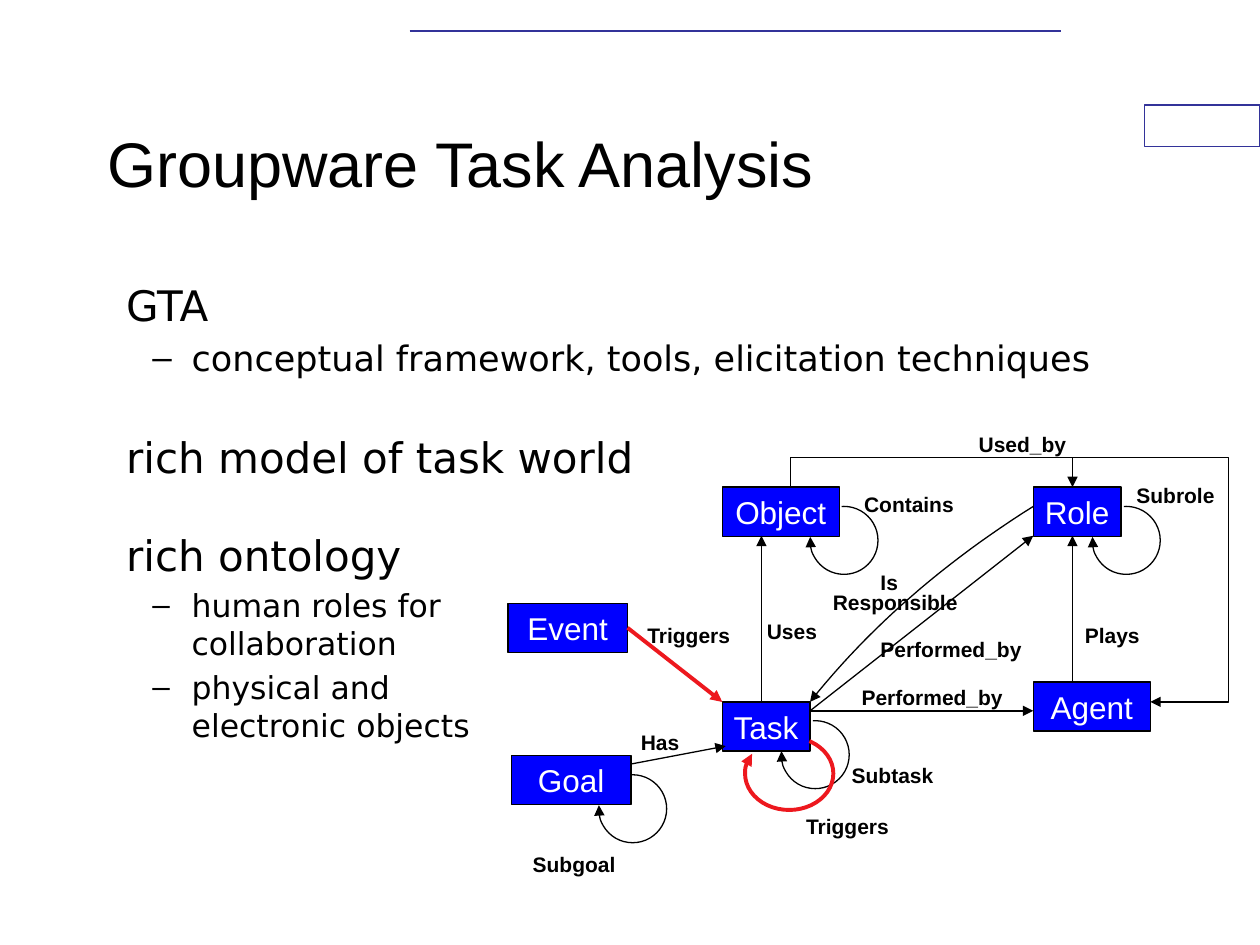
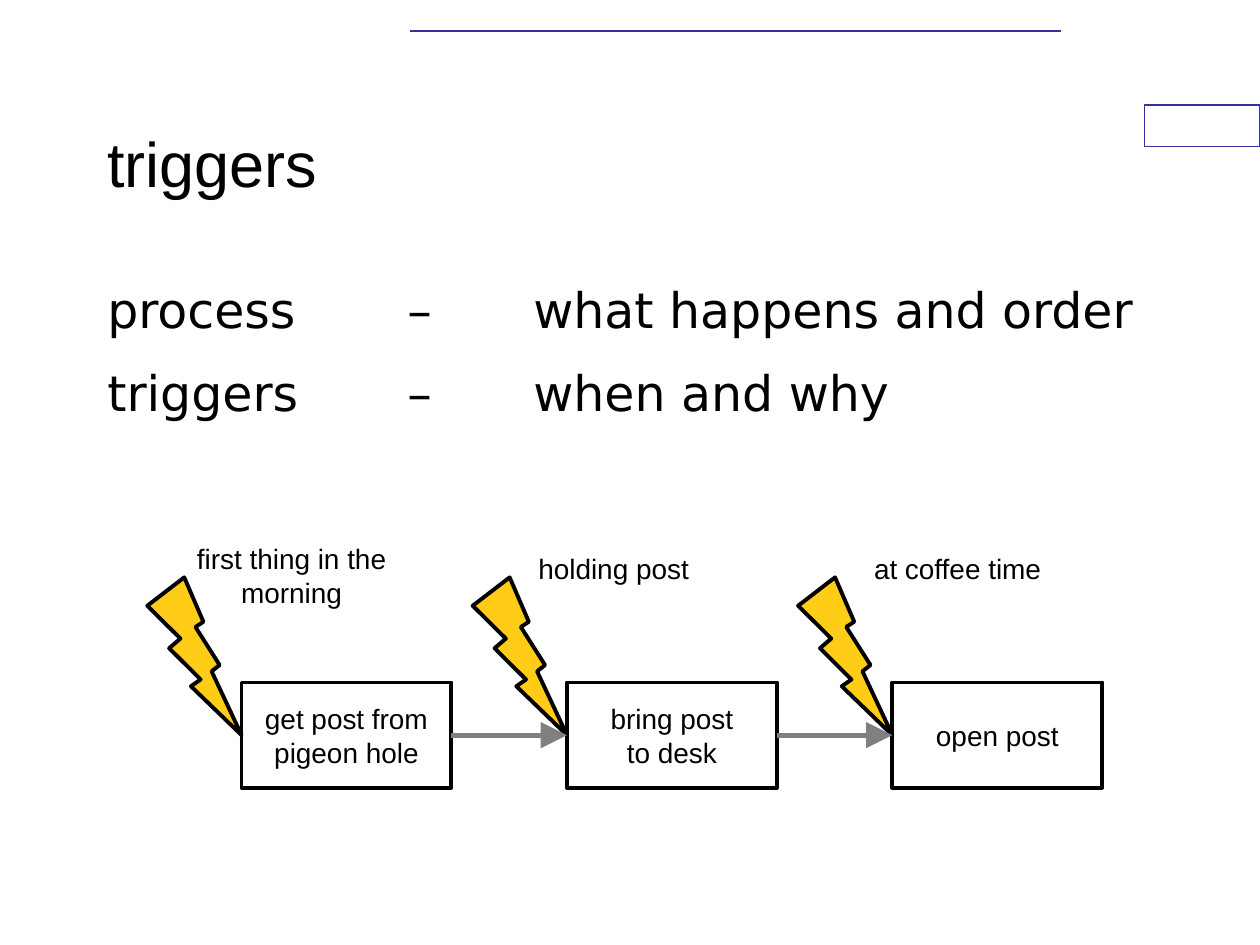
from dataclasses import dataclass

from lxml.etree import SubElement
from pptx import Presentation
from pptx.dml.color import RGBColor
from pptx.enum.shapes import MSO_CONNECTOR, MSO_SHAPE
from pptx.enum.text import MSO_ANCHOR, MSO_AUTO_SIZE, PP_ALIGN
from pptx.oxml.ns import qn
from pptx.util import Cm, Pt

# Shared look
BLACK, WHITE, NAVY = "000000", "FFFFFF", "333399"
BLUE, RED, GOLD, GRAY = "0000FF", "ED181E", "FFCC18", "808080"
HEADING_FONT, BODY_FONT = "Arial", "DejaVu Sans"
THIN, THICK = 0.75, 2.25
LOOP_SIZE = 1.37
TOP, LEFT, BOTTOM, RIGHT = range(4)


@dataclass(frozen=True)
class Entity:
    name: str
    x: float
    y: float
    width: float


@dataclass(frozen=True)
class Label:
    text: str
    x: float
    y: float
    width: float
    height: float = 0.76


@dataclass(frozen=True)
class Loop:
    x: float
    y: float
    width: float = LOOP_SIZE
    height: float = LOOP_SIZE
    start: int = 266
    end: int = 186
    color: str = BLACK
    weight: float = THIN


@dataclass(frozen=True)
class Bullet:
    text: str
    size: int
    level: int = 0
    before: float = 0


@dataclass(frozen=True)
class Step:
    action: str
    trigger: Label


ENTITIES = [
    Entity("Task", 14.56, 14.15, 1.77),
    Entity("Agent", 20.83, 13.75, 2.36),
    Entity("Role", 20.83, 9.82, 1.77),
    Entity("Object", 14.56, 9.82, 2.36),
    Entity("Event", 10.24, 12.16, 2.41),
    Entity("Goal", 10.31, 15.23, 2.41),
]
RELATIONS = [
    ((15.35, 14.15), (15.35, 10.8)),   # Task uses Object
    ((16.33, 14.33), (20.83, 14.33)),  # Task performed by Agent
    ((16.33, 14.33), (20.83, 10.8)),   # Task performed by Role
    ((21.62, 13.75), (21.62, 10.8)),   # Agent plays Role
    ((21.62, 9.22), (21.62, 9.82)),    # Object used by Role
    ((12.73, 15.4), (14.63, 15.04)),   # Goal has Task
]
USED_BY_ROUTE = [(15.93, 9.82), (15.93, 9.22), (24.77, 9.22), (24.77, 14.15), (23.19, 14.15)]
RESPONSIBLE_CURVE = [(20.83, 10.21), (19.05, 11.33), (17.55, 12.62), (16.33, 14.15)]
LOOPS = [
    Loop(16.33, 10.21),
    Loop(15.75, 14.53),
    Loop(22.02, 10.21),
    Loop(12.07, 15.62),
    Loop(15.02, 14.86, 1.78, 1.47, 302, 208, RED, THICK),
]
RELATION_LABELS = [
    Label("Contains", 17.17, 9.78, 2.31),
    Label("Responsible", 16.54, 11.76, 3.02),
    Label("Performed_by", 17.12, 13.67, 3.35),
    Label("Plays", 21.62, 12.42, 1.63),
    Label("Triggers", 12.8, 12.42, 2.21),
    Label("Subtask", 16.92, 15.24, 2.16),
    Label("Uses", 15.21, 12.34, 1.52),
    Label("Used_by", 19.48, 8.57, 2.4),
    Label("Subrole", 22.66, 9.6, 2.08),
    Label("Is", 17.5, 11.35, 0.86),
    Label("Performed_by", 17.5, 12.7, 3.35),
    Label("Has", 12.67, 14.58, 1.3),
    Label("Subgoal", 10.49, 17.04, 2.18),
    Label("Triggers", 16, 16.28, 2.21),
]
FRAMEWORK_POINTS = [
    Bullet("GTA", 24),
    Bullet("conceptual framework, tools, elicitation techniques", 20, 1, 4.1),
    Bullet("rich model of task world", 24, 0, 30.2),
    Bullet("rich ontology", 24, 0, 27.2),
    Bullet("human roles for\ncollaboration", 18, 1, 3.4),
    Bullet("physical and\nelectronic objects", 18, 1, 3.7),
]
DEFINITIONS = [
    Bullet("process\t–\twhat happens and order", 28),
    Bullet("triggers\t–\twhen and why", 28, 0, 14),
]
DEFINITION_INDENT, TAB_STEP = 0.97, 2.54
DEFINITION_TABS = tuple(DEFINITION_INDENT + TAB_STEP * count for count in (2, 3))
STEPS = [
    Step("get post from\npigeon hole", Label("first thing in the\nmorning", 3.71, 10.8, 4.34, 1.63)),
    Step("bring post\nto desk", Label("holding post", 10.59, 11, 3.56, 0.94)),
    Step("open post", Label("at coffee time", 17.35, 11, 3.91, 0.94)),
]
STEP_PITCH = 6.56


def rgb(color: str) -> RGBColor:
    return RGBColor.from_string(color)


def set_line(shape, color: str, weight: float, arrow: str = "") -> None:
    """Style an outline; arrow is the head size, "med" or "lg"."""
    shape.line.color.rgb = rgb(color)
    shape.line.width = Pt(weight)
    if arrow:
        SubElement(shape.element.spPr.find(qn("a:ln")), qn("a:tailEnd"),
                   type="triangle", w=arrow, len=arrow)


def set_fill(shape, color: str | None) -> None:
    if color:
        shape.fill.solid()
        shape.fill.fore_color.rgb = rgb(color)
    else:
        shape.fill.background()


def add_runs(paragraph, text: str, size: int, font: str, color: str = BLACK, bold: bool = False) -> None:
    for number, line in enumerate(text.split("\n")):
        if number:
            paragraph.add_line_break()
        run = paragraph.add_run()
        run.text = line
        run.font.size = Pt(size)
        run.font.name = font
        run.font.bold = bold
        run.font.color.rgb = rgb(color)


def add_preset(slide, kind, x: float, y: float, width: float, height: float,
               fill: str | None, line: str, weight: float, arrow: str = ""):
    shape = slide.shapes.add_shape(kind, Cm(x), Cm(y), Cm(width), Cm(height))
    shape.shadow.inherit = False
    set_fill(shape, fill)
    set_line(shape, line, weight, arrow)
    return shape


def add_box(slide, text: str, x: float, y: float, width: float, height: float,
            fill: str | None, weight: float, size: int, color: str):
    shape = add_preset(slide, MSO_SHAPE.RECTANGLE, x, y, width, height, fill, BLACK, weight)
    frame = shape.text_frame
    frame.word_wrap = False
    frame.vertical_anchor = MSO_ANCHOR.MIDDLE
    frame.paragraphs[0].alignment = PP_ALIGN.CENTER
    add_runs(frame.paragraphs[0], text, size, HEADING_FONT, color)
    return shape


def add_label(slide, label: Label, size: int, bold: bool, alignment) -> None:
    box = slide.shapes.add_textbox(Cm(label.x), Cm(label.y), Cm(label.width), Cm(label.height))
    box.text_frame.word_wrap = False
    box.text_frame.auto_size = MSO_AUTO_SIZE.SHAPE_TO_FIT_TEXT
    paragraph = box.text_frame.paragraphs[0]
    paragraph.alignment = alignment
    add_runs(paragraph, label.text, size, HEADING_FONT, bold=bold)


def add_line(slide, start: tuple, end: tuple, color: str = BLACK,
             weight: float = THIN, arrow: str = "med"):
    connector = slide.shapes.add_connector(
        MSO_CONNECTOR.STRAIGHT, *(Cm(value) for value in (*start, *end)))
    set_line(connector, color, weight, arrow)
    SubElement(connector.element.spPr, qn("a:effectLst"))
    return connector


def add_route(slide, points: list) -> None:
    start, *others = [(Cm(x), Cm(y)) for x, y in points]
    builder = slide.shapes.build_freeform(*start)
    builder.add_line_segments(others, close=False)
    route = builder.convert_to_shape()
    route.shadow.inherit = False
    set_fill(route, None)
    set_line(route, BLACK, THIN, "med")


def add_loop(slide, loop: Loop) -> None:
    arc = add_preset(slide, MSO_SHAPE.ARC, loop.x, loop.y, loop.width, loop.height,
                     None, loop.color, loop.weight, "med")
    # Angles are stored in 1/60000 degree, adjustments in 1/100000
    arc.adjustments[0] = loop.start * 0.6
    arc.adjustments[1] = loop.end * 0.6


def curve_points(controls: list, steps: int = 24) -> list:
    """Points along a cubic Bezier curve."""
    points = []
    for step in range(steps + 1):
        t = step / steps
        weights = ((1 - t) ** 3, 3 * t * (1 - t) ** 2, 3 * t ** 2 * (1 - t), t ** 3)
        points.append(tuple(sum(w * point[axis] for w, point in zip(weights, controls))
                            for axis in (0, 1)))
    return points


def format_bullet(paragraph, level: int, tabs: tuple) -> None:
    properties = paragraph._p.get_or_add_pPr()
    if tabs:
        margin, indent = DEFINITION_INDENT, -DEFINITION_INDENT
    else:
        margin, indent = (1.7, -0.79) if level else (0.38, 0)
    properties.set("marL", str(Cm(margin)))
    properties.set("indent", str(Cm(indent)))
    if level:
        SubElement(properties, qn("a:buChar"), char="–")
    else:
        SubElement(properties, qn("a:buNone"))
    if tabs:
        properties.set("defTabSz", str(Cm(TAB_STEP)))
        tab_list = SubElement(properties, qn("a:tabLst"))
        for position in tabs:
            SubElement(tab_list, qn("a:tab"), pos=str(Cm(position)), algn="l")


def place(shape, x: float, y: float, width: float, height: float) -> None:
    shape.left, shape.top, shape.width, shape.height = Cm(x), Cm(y), Cm(width), Cm(height)
    shape.text_frame.word_wrap = True
    shape.text_frame.auto_size = MSO_AUTO_SIZE.NONE


def add_slide(presentation, title: str, bullets: list, tabs: tuple = ()):
    slide = presentation.slides.add_slide(presentation.slide_layouts[1])
    heading, body = slide.shapes.title, slide.placeholders[1]
    place(heading, 1.91, 1.69, 19.05, 3.18)
    heading.text_frame.vertical_anchor = MSO_ANCHOR.MIDDLE
    heading.text_frame.paragraphs[0].alignment = PP_ALIGN.LEFT
    add_runs(heading.text_frame.paragraphs[0], title, 36, HEADING_FONT)
    place(body, 1.91, 5.5, 21.59, 11.43)
    for number, bullet in enumerate(bullets):
        frame = body.text_frame
        paragraph = frame.add_paragraph() if number else frame.paragraphs[0]
        paragraph.level = bullet.level
        format_bullet(paragraph, bullet.level, tabs)
        paragraph.space_before = Pt(bullet.before)
        add_runs(paragraph, bullet.text, bullet.size, BODY_FONT)
    return slide


def decorate_master(presentation, slide) -> None:
    """Draw the common frame parts and hand them to the slide master."""
    parts = [
        add_preset(slide, MSO_SHAPE.RECTANGLE, 23.07, 2.12, 2.33, 0.84, WHITE, NAVY, THIN),
        add_line(slide, (8.26, 0.63), (21.38, 0.63), NAVY, 1, arrow=""),
    ]
    for part in parts:
        presentation.slide_master.shapes.element.append(part.element)


def draw_ontology(slide) -> None:
    boxes = {entity.name: add_box(slide, entity.name, entity.x, entity.y, entity.width, 0.99,
                                  BLUE, THIN, 18, WHITE) for entity in ENTITIES}
    for start, end in RELATIONS:
        add_line(slide, start, end)
    add_line(slide, (12.65, 12.65), (14.56, 14.15), RED, THICK).begin_connect(boxes["Event"], RIGHT)
    add_route(slide, USED_BY_ROUTE)
    add_route(slide, curve_points(RESPONSIBLE_CURVE))
    for loop in LOOPS:
        add_loop(slide, loop)
    for label in RELATION_LABELS:
        add_label(slide, label, 12, True, PP_ALIGN.LEFT)


def draw_post_process(slide) -> None:
    boxes = []
    for number, step in enumerate(STEPS):
        offset = number * STEP_PITCH
        add_preset(slide, MSO_SHAPE.LIGHTNING_BOLT, 2.97 + offset, 11.64, 1.9, 3.18,
                   GOLD, BLACK, THICK)
        add_label(slide, step.trigger, 16, False, PP_ALIGN.CENTER)
        boxes.append(add_box(slide, step.action, 4.87 + offset, 13.76, 4.23, 2.12,
                             None, THICK, 16, BLACK))
    for before, after in zip(boxes, boxes[1:]):
        arrow = add_line(slide, (0, 0), (1, 1), GRAY, 3, "lg")
        arrow.begin_connect(before, RIGHT)
        arrow.end_connect(after, LEFT)


def main() -> None:
    presentation = Presentation()
    presentation.slide_width, presentation.slide_height = Cm(25.4), Cm(19.05)
    ontology = add_slide(presentation, "Groupware Task Analysis", FRAMEWORK_POINTS)
    decorate_master(presentation, ontology)
    draw_ontology(ontology)
    draw_post_process(add_slide(presentation, "triggers", DEFINITIONS, DEFINITION_TABS))
    presentation.save("out.pptx")


if __name__ == "__main__":
    main()
